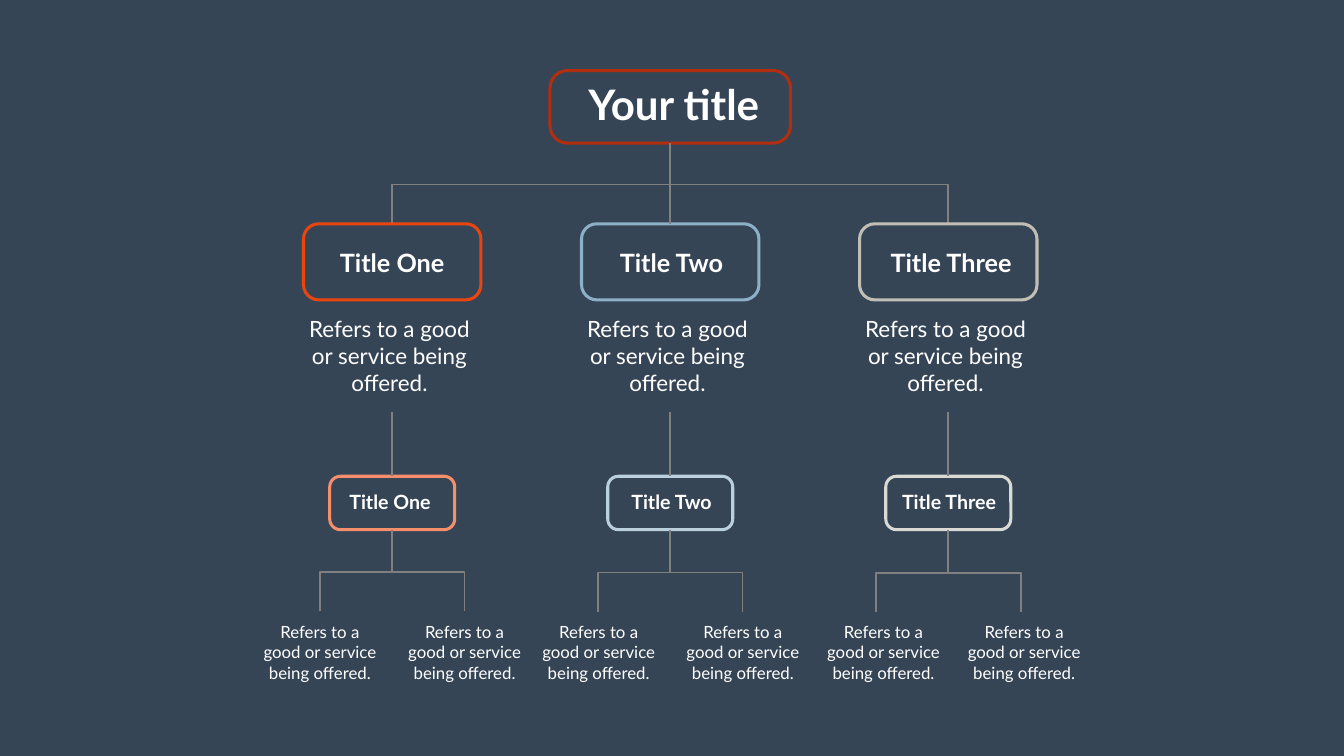
from lxml.etree import SubElement
from pptx import Presentation
from pptx.dml.color import RGBColor
from pptx.enum.shapes import MSO_CONNECTOR, MSO_SHAPE
from pptx.enum.text import MSO_AUTO_SIZE, PP_ALIGN
from pptx.oxml.ns import qn
from pptx.util import Inches, Pt

TOP, BOTTOM = 0, 2
DESCRIPTION = "Refers to a good or service being offered."


def colour(hex_code):
    return RGBColor.from_string(hex_code)


class Chart:
    """Style and drawing methods for an organisation chart on one slide."""

    font = "Lato"
    text_colour = "FFFFFF"
    line_colour = "808080"
    line_width = Pt(2.61)
    frame_width = Pt(4.34)

    def __init__(self, page, background):
        self.page = page
        page.background.fill.solid()
        page.background.fill.fore_color.rgb = colour(background)

    def frame(self, left, top, width, height, outline, rounding=0.2):
        box = self.page.shapes.add_shape(
            MSO_SHAPE.ROUNDED_RECTANGLE,
            Inches(left), Inches(top), Inches(width), Inches(height))
        box.adjustments[0] = rounding
        box.shadow.inherit = False
        box.fill.background()
        box.line.color.rgb = colour(outline)
        box.line.width = self.frame_width
        return box

    def stem(self, x, top, bottom, upper=None, lower=None):
        line = self.page.shapes.add_connector(
            MSO_CONNECTOR.STRAIGHT,
            Inches(x), Inches(top), Inches(x), Inches(bottom))
        if upper is not None:
            line.begin_connect(upper, BOTTOM)
        if lower is not None:
            line.end_connect(lower, TOP)
        line.line.color.rgb = colour(self.line_colour)
        line.line.width = self.line_width
        SubElement(line._element.spPr, qn("a:effectLst"))

    def bracket(self, centre, top, width, height):
        left, right = Inches(centre - width / 2), Inches(centre + width / 2)
        upper, lower = Inches(top), Inches(top + height)
        builder = self.page.shapes.build_freeform(left, lower)
        builder.add_line_segments(
            [(left, upper), (right, upper), (right, lower)], close=False)
        shape = builder.convert_to_shape()
        shape.shadow.inherit = False
        shape.fill.background()
        shape.line.color.rgb = colour(self.line_colour)
        shape.line.width = self.line_width

    def text(self, words, left, top, width, height, size, bold=False, wrap=False):
        box = self.page.shapes.add_textbox(
            Inches(left), Inches(top), Inches(width), Inches(height))
        box.text_frame.word_wrap = wrap
        box.text_frame.auto_size = MSO_AUTO_SIZE.SHAPE_TO_FIT_TEXT
        para = box.text_frame.paragraphs[0]
        para.alignment = PP_ALIGN.CENTER
        span = para.add_run()
        span.text = words
        span.font.name = self.font
        span.font.size = Pt(size)
        span.font.bold = bold
        span.font.color.rgb = colour(self.text_colour)


def main():
    deck = Presentation()
    deck.slide_width, deck.slide_height = Inches(26.66), Inches(15)
    chart = Chart(deck.slides.add_slide(deck.slide_layouts[6]), "364556")

    first_centre, pitch = 7.78, 5.515
    middle = first_centre + pitch

    # Root title and the bracket to the three branches
    chart.bracket(middle, 3.66, 2 * pitch, 0.78)
    root = chart.frame(10.91, 1.4, 4.77, 1.44, "B12E0E", 0.24)
    chart.text("Your title", 11.49, 1.51, 3.75, 1.11, 60, bold=True)

    # Name, frame colours, (left, width) of both titles, fork top, leaf lefts
    branches = [
        ("Title One", "EA450F", "F68E6C", (6.63, 2.3), (6.82, 1.83),
         11.35, (5.11, 7.98)),
        ("Title Two", "8CB0C7", "BAD0DD", (12.15, 2.34), (12.39, 1.86),
         11.36, (10.64, 13.5)),
        ("Title Three", "C1BFB5", "DAD9D3", (17.54, 2.65), (17.77, 2.11),
         11.37, (16.29, 19.08)),
    ]
    for index, branch in enumerate(branches):
        name, strong, pale, title, subtitle, fork_top, leaves = branch
        centre = first_centre + index * pitch

        # Branch title and description
        branch_box = chart.frame(centre - 1.76, 4.44, 3.52, 1.51, strong)
        if index == 1:
            chart.stem(centre, 2.84, 4.44, root, branch_box)
        chart.text(name, title[0], 4.85, title[1], 0.71, 36, bold=True)
        chart.text(DESCRIPTION, centre - 1.76, 6.2, 3.41, 1.72, 32, wrap=True)

        # Sub-branch title
        sub_box = chart.frame(centre - 1.24, 9.45, 2.48, 1.06, pale)
        chart.stem(centre, 8.18, 9.45, lower=sub_box)
        chart.text(name, subtitle[0], 9.68, subtitle[1], 0.57, 28, bold=True)

        # Fork and its two leaves
        chart.stem(centre, 10.51, fork_top, upper=sub_box)
        chart.bracket(centre, fork_top, 2.87, 0.78)
        for left in leaves:
            chart.text(DESCRIPTION, left, 12.29, 2.47, 1.31, 24, wrap=True)

    deck.save("out.pptx")


if __name__ == "__main__":
    main()
